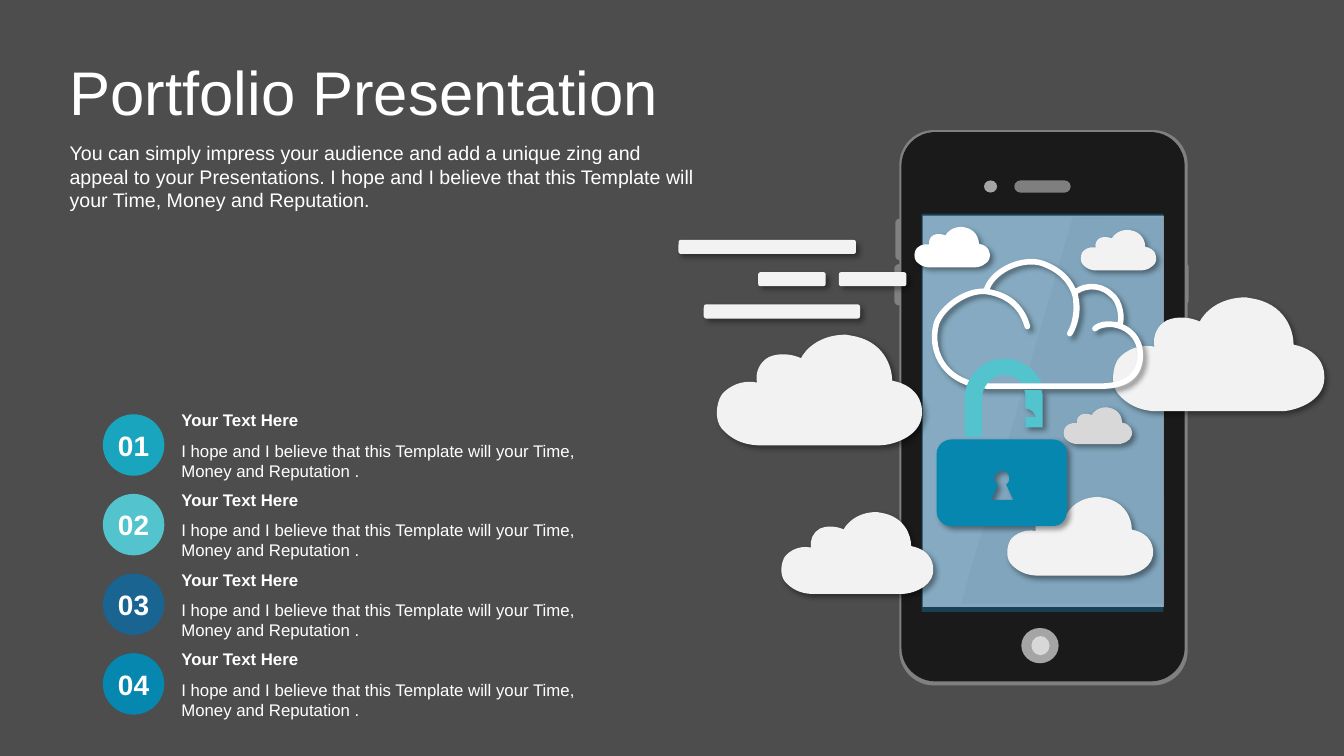
from lxml import etree
from pptx import Presentation
from pptx.dml.color import RGBColor
from pptx.enum import shapes, text
from pptx.oxml import ns
from pptx.util import Inches, Pt

WHITE = RGBColor(0xFF, 0xFF, 0xFF)
BACKDROP = RGBColor(0x4D, 0x4D, 0x4D)
PALE = RGBColor(0xF2, 0xF2, 0xF2)
SILVER = RGBColor(0xD8, 0xD8, 0xD8)
LENS = RGBColor(0xA5, 0xA5, 0xA5)
SHEEN = RGBColor(0x99, 0x99, 0x99)
RIM = RGBColor(0x80, 0x80, 0x80)
SPEAKER = RGBColor(0x7F, 0x7F, 0x7F)
CASE = RGBColor(0x1A, 0x1A, 0x1A)
TEAL = RGBColor(0x19, 0xA5, 0xBE)
AQUA = RGBColor(0x53, 0xC3, 0xCD)
NAVY = RGBColor(0x19, 0x64, 0x91)
BLUE = RGBColor(0x05, 0x87, 0xAF)

FONT = "Arial"
TITLE = "Portfolio Presentation"
INTRO = ("You can simply impress your audience and add a unique zing and appeal to your "
         "Presentations. I hope and I believe that this Template will your Time, Money and Reputation.")
HEADING = "Your Text Here"
DETAIL = "I hope and I believe that this Template will your Time, Money and Reputation ."
ITEMS = [("01", TEAL), ("02", AQUA), ("03", NAVY), ("04", BLUE)]
ITEM_TOP, ITEM_PITCH = 4.02, 0.79

ROUND = shapes.MSO_SHAPE.ROUNDED_RECTANGLE
RECTANGLE = shapes.MSO_SHAPE.RECTANGLE
OVAL = shapes.MSO_SHAPE.OVAL
PHONE_BODY = [
    (ROUND, (8.88, 2.17, 0.08, 0.41), RIM, 0.5),
    (ROUND, (8.87, 2.62, 0.09, 0.41), RIM, 0.5),
    (ROUND, (11.71, 2.61, 0.08, 0.41), RIM, 0.5),
    (ROUND, (8.92, 1.29, 2.86, 5.51), RIM, 0.12),
    (ROUND, (8.94, 1.31, 2.81, 5.45), CASE, 0.12),
    (RECTANGLE, (9.15, 2.14, 2.39, 3.88), PALE, None),
    (OVAL, (10.13, 6.23, 0.37, 0.35), LENS, None),
    (OVAL, (10.23, 6.31, 0.18, 0.19), SILVER, None),
    (ROUND, (10.06, 1.79, 0.56, 0.12), SPEAKER, 0.5),
    (OVAL, (9.76, 1.79, 0.13, 0.12), LENS, None),
]
SCREEN_SHEEN = [(10.64, 2.15), (11.54, 2.16), (11.55, 5.99), (9.53, 5.99)]

CLOUD_WIDTH = 2.1
CLOUD = [
    (1.32, 0), (1.33, 0, 1.35, 0.01, 1.37, 0.01), (1.7, 0.06, 1.79, 0.32, 1.79, 0.47),
    (2.09, 0.53, 2.11, 0.75, 2.09, 0.85), (2.05, 1.06, 1.77, 1.13, 1.67, 1.13), (0.41, 1.13),
    (0.25, 1.12, 0.14, 1.06, 0.05, 0.96), (-0.03, 0.86, 0, 0.7, 0.04, 0.63),
    (0.07, 0.57, 0.22, 0.45, 0.41, 0.49), (0.39, 0.38, 0.44, 0.28, 0.53, 0.23),
    (0.64, 0.18, 0.77, 0.2, 0.86, 0.24), (0.9, 0.16, 1.04, 0, 1.32, 0),
]
BACK_CLOUDS = [(7.11, 3.32, 2.04, PALE), (11.04, 2.95, 2.1, PALE), (10.55, 4.04, 0.68, SILVER),
               (9.07, 2.25, 0.75, WHITE), (10.72, 2.28, 0.75, PALE)]
FRONT_CLOUDS = [(7.75, 5.08, 1.51, PALE), (9.99, 4.93, 1.45, PALE)]
CLOUD_LINE = [
    (9.84, 3.83), (10.95, 3.83), (11.26, 3.82, 11.34, 3.63, 11.3, 3.44),
    (11.24, 3.21, 10.95, 3.17, 10.86, 3.26), (10.91, 3.21, 11.04, 3.21, 11.1, 3.23),
    (11.14, 3.17, 11.11, 2.98, 11.02, 2.92), (10.95, 2.85, 10.8, 2.8, 10.66, 2.9),
    (10.68, 3.01, 10.69, 3.17, 10.61, 3.31), (10.73, 3.11, 10.73, 2.75, 10.33, 2.61),
    (10.13, 2.55, 9.83, 2.69, 9.78, 2.89), (9.93, 2.92, 10.11, 2.97, 10.19, 3.24),
    (10.15, 3.07, 10.01, 2.92, 9.77, 2.89), (9.57, 2.88, 9.35, 3.05, 9.29, 3.2),
    (9.2, 3.51, 9.4, 3.84, 9.84, 3.83),
]
SHACKLE_END = [
    (10.16, 3.87), (10.33, 3.87), (10.33, 3.89, 10.34, 3.9, 10.34, 3.91), (10.34, 4.24),
    (10.17, 4.24), (10.17, 4.14), (10.27, 4.14), (10.27, 4.1, 10.23, 4.06, 10.17, 4.05),
    (10.17, 3.94), (10.17, 3.91, 10.17, 3.89, 10.16, 3.87),
]
SHACKLE = [
    (9.96, 3.56), (10.13, 3.56, 10.27, 3.66, 10.33, 3.8), (10.13, 3.8),
    (10.09, 3.75, 10.03, 3.72, 9.96, 3.72), (9.84, 3.72, 9.74, 3.83, 9.74, 3.95),
    (9.74, 4.33), (9.57, 4.33), (9.57, 3.95), (9.57, 3.73, 9.75, 3.56, 9.96, 3.56),
]
LOCK = [
    (9.44, 4.36), (10.44, 4.36), (10.52, 4.36, 10.58, 4.42, 10.58, 4.5), (10.58, 5.08),
    (10.58, 5.16, 10.52, 5.22, 10.44, 5.22), (9.44, 5.22),
    (9.36, 5.22, 9.29, 5.16, 9.29, 5.08), (9.29, 4.5), (9.29, 4.42, 9.36, 4.36, 9.44, 4.36),
]
KEYHOLE = [
    (9.94, 4.67), (9.9, 4.67, 9.86, 4.7, 9.86, 4.75), (9.86, 4.77, 9.88, 4.8, 9.9, 4.81),
    (9.83, 4.96), (10.05, 4.96), (9.98, 4.81), (10, 4.8, 10.01, 4.77, 10.01, 4.75),
    (10.01, 4.7, 9.98, 4.67, 9.94, 4.67),
]
SPEED_BARS = [(6.73, 2.38, 1.76), (6.98, 3.02, 1.55), (7.52, 2.7, 0.67), (8.32, 2.7, 0.67)]


def style(shape, color, alpha=None, shadow=False):
    """Fill a shape, with optional opacity in percent and a soft shadow."""
    shape.shadow.inherit = False
    shape.line.fill.background()
    if color is None:
        shape.fill.background()
    else:
        shape.fill.solid()
        shape.fill.fore_color.rgb = color
    properties = shape._element.spPr
    if alpha:
        tint = properties.find(ns.qn("a:solidFill"))[0]
        etree.SubElement(tint, ns.qn("a:alpha"), val=str(alpha * 1000))
    if shadow:
        effects = properties.find(ns.qn("a:effectLst"))
        outer = etree.SubElement(effects, ns.qn("a:outerShdw"), blurRad=str(Pt(4)),
                                 dist=str(Pt(3)), dir="2700000", algn="tl", rotWithShape="0")
        black = etree.SubElement(outer, ns.qn("a:srgbClr"), val="000000")
        etree.SubElement(black, ns.qn("a:alpha"), val="40000")
    return shape


def add_preset(parent, kind, box, color, corner=None, **look):
    """Add a preset shape at a box given in inches."""
    shape = parent.add_shape(kind, *map(Inches, box))
    if corner is not None:
        shape.adjustments[0] = corner
    return style(shape, color, **look)


def add_outline(parent, color, *outlines, **look):
    """Add one freeform of closed outlines, whose six-number segments are cubic curves."""
    ends = [[tuple(map(Inches, segment[-2:])) for segment in outline] for outline in outlines]
    builder = parent.build_freeform(*ends[0][0])
    for index, points in enumerate(ends):
        if index:
            builder.move_to(*points[0])
        builder.add_line_segments(points[1:], close=True)
    shape = builder.convert_to_shape()
    segments = [segment for outline in outlines for segment in outline[1:]]
    lines = list(shape._element.iter(ns.qn("a:lnTo")))
    for line, segment in zip(lines, segments):
        if len(segment) == 6:
            line.tag = ns.qn("a:cubicBezTo")
            for index in (0, 1):
                x, y = map(Inches, segment[2 * index:2 * index + 2])
                control = etree.Element(ns.qn("a:pt"), x=str(x - shape.left), y=str(y - shape.top))
                line.insert(index, control)
    return style(shape, color, **look)


def add_cloud(parent, left, top, width, color):
    """Add a cloud scaled to the given width."""
    scale = width / CLOUD_WIDTH
    outline = [tuple((top if i % 2 else left) + value * scale for i, value in enumerate(segment))
               for segment in CLOUD]
    add_outline(parent, color, outline, shadow=True)


def write(shape, words, size, bold=False, align=text.PP_ALIGN.LEFT,
          anchor=text.MSO_ANCHOR.TOP, spacing=1.0, inset=(0.1, 0.05)):
    """Write one formatted paragraph into a shape."""
    frame = shape.text_frame
    frame.word_wrap = True
    frame.auto_size = text.MSO_AUTO_SIZE.NONE
    frame.vertical_anchor = anchor
    frame.margin_left = frame.margin_right = Inches(inset[0])
    frame.margin_top = frame.margin_bottom = Inches(inset[1])
    paragraph = frame.paragraphs[0]
    paragraph.alignment, paragraph.line_spacing = align, spacing
    paragraph.space_before = Pt(0)
    run = paragraph.add_run()
    run.text = words
    run.font.name, run.font.size, run.font.bold = FONT, Pt(size), bold
    run.font.color.rgb = WHITE
    return paragraph


def place(shape, *box):
    """Move and size a shape in inches."""
    shape.left, shape.top, shape.width, shape.height = map(Inches, box)
    return shape


def main():
    """Build the slide and save it."""
    presentation = Presentation()
    presentation.slide_width, presentation.slide_height = Inches(13.33), Inches(7.5)
    slide = presentation.slides.add_slide(presentation.slide_layouts[1])
    slide.background.fill.solid()
    slide.background.fill.fore_color.rgb = BACKDROP
    canvas = slide.shapes

    write(place(canvas.title, 0.59, 0.56, 6.45, 0.78), TITLE, 44,
          anchor=text.MSO_ANCHOR.MIDDLE, spacing=0.9)
    intro = write(place(slide.placeholders[1], 0.59, 1.35, 6.51, 0.81), INTRO, 14)
    properties = intro._p.get_or_add_pPr()
    properties.set("marL", "0")
    properties.set("indent", "0")
    etree.SubElement(properties, ns.qn("a:buNone"))

    phone = canvas.add_group_shape().shapes
    for kind, box, color, corner in PHONE_BODY:
        add_preset(phone, kind, box, color, corner)
    add_outline(phone, SHEEN, SCREEN_SHEEN, alpha=10)

    for index, (number, color) in enumerate(ITEMS):
        top = ITEM_TOP + index * ITEM_PITCH
        badge = add_preset(canvas, OVAL, (1.02, top + 0.09, 0.61, 0.61), color)
        write(badge, number, 20, bold=True, align=text.PP_ALIGN.CENTER,
              anchor=text.MSO_ANCHOR.MIDDLE, inset=(0, 0))
        for words, offset, height, bold in ((HEADING, 0, 0.3, True), (DETAIL, 0.3, 0.5, False)):
            box = canvas.add_textbox(*map(Inches, (1.7, top + offset, 4.19, height)))
            write(box, words, 12, bold=bold)

    add_preset(canvas, RECTANGLE, (9.14, 2.12, 2.4, 3.95), NAVY, alpha=50)
    for cloud in BACK_CLOUDS:
        add_cloud(canvas, *cloud)
    cloud_line = add_outline(canvas, None, CLOUD_LINE, shadow=True).line
    cloud_line.color.rgb, cloud_line.width = WHITE, Pt(4)
    add_outline(canvas, AQUA, SHACKLE_END, shadow=True)
    add_outline(canvas, AQUA, SHACKLE)
    for cloud in FRONT_CLOUDS:
        add_cloud(canvas, *cloud)
    add_outline(canvas, BLUE, LOCK, KEYHOLE, shadow=True)
    for left, top, width in SPEED_BARS:
        add_preset(canvas, ROUND, (left, top, width, 0.14), PALE, 0.17, shadow=True)
    presentation.save("out.pptx")


if __name__ == "__main__":
    main()
